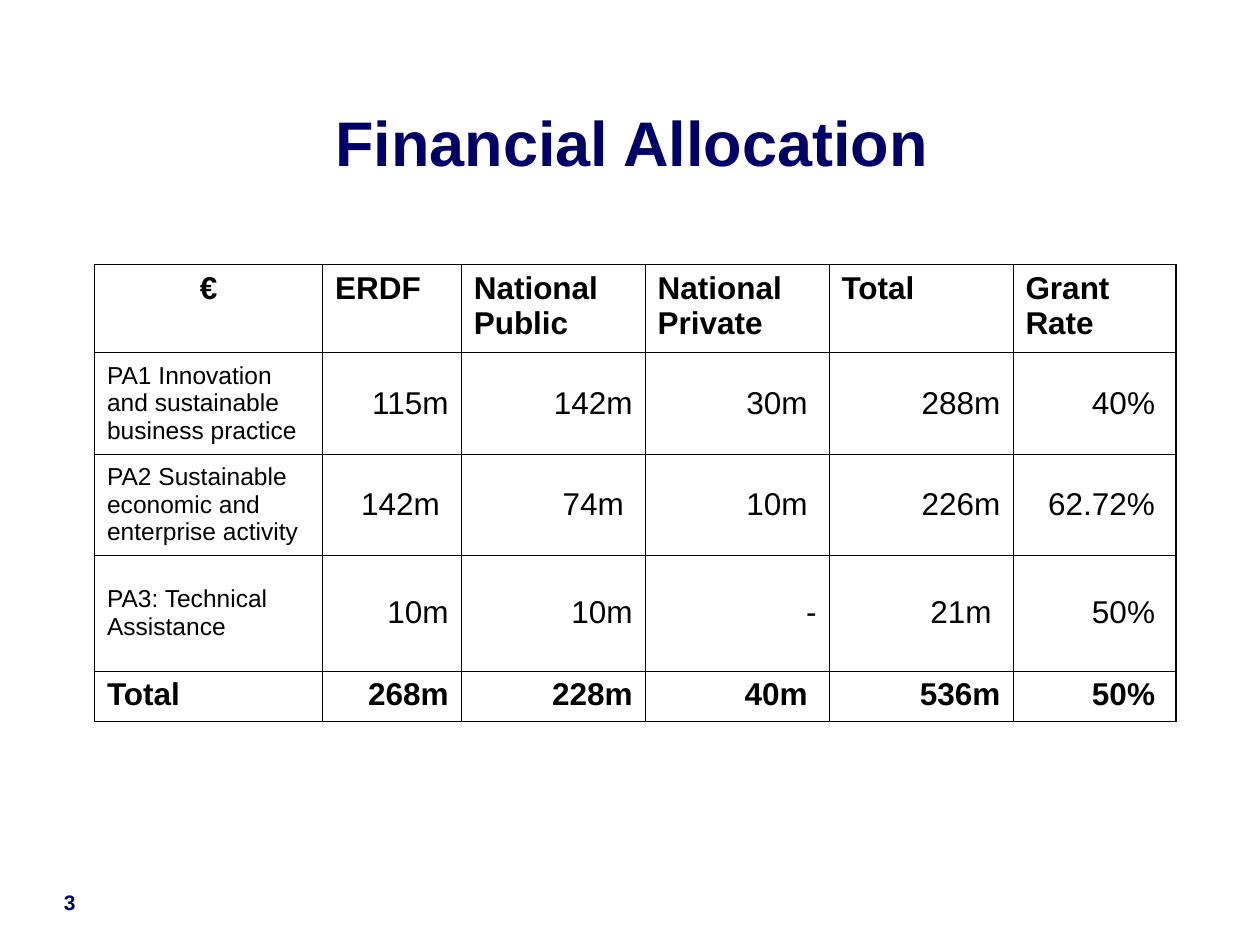
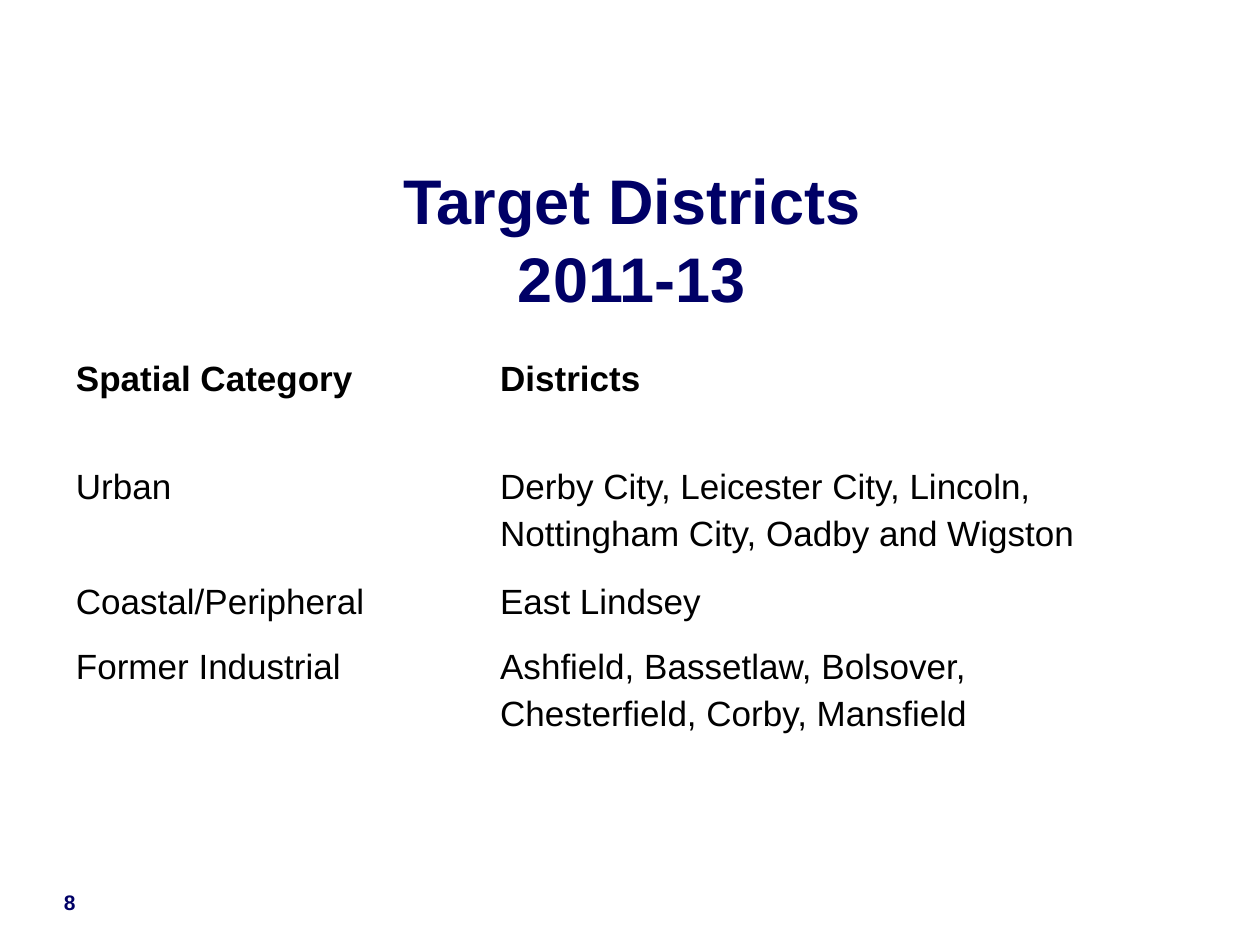
from pptx import Presentation
from pptx.dml.color import RGBColor as RGB
from pptx.enum.text import MSO_ANCHOR as ANCHOR, PP_ALIGN as ALIGN
from pptx.oxml import parse_xml
from pptx.oxml.ns import nsdecls
from pptx.util import Pt

COLORS = {"navy": "000066", "black": "000000"}
OUTER, INNER = 1.08, 0.45
TITLE = {"size": 36, "bold": True, "color": "navy"}
NUMBER = {"size": 12, "bold": True, "color": "navy"}
HEAD = {"size": 18, "bold": True}
LABEL = {"size": 14}
VALUE = {"size": 18}
DISTRICT = {"size": 20}
DISTRICT_HEAD = {"size": 20, "bold": True}


class Deck:
    def __init__(self):
        self.prs = Presentation()
        self.prs.slide_width, self.prs.slide_height = Pt(720), Pt(540)
        self.s = None

    def text(self, tf, text, fmt, align=ALIGN.LEFT, gap=0, leading=None):
        style = {"name": "Arial", "bold": False, "color": "black", **fmt}
        color = RGB.from_string(COLORS[style.pop("color")])
        style["size"] = Pt(style["size"])
        for i, line in enumerate(text.split("\n")):
            p = tf.add_paragraph() if i else tf.paragraphs[0]
            p.alignment = align
            p.space_before = Pt(gap if i else 0)
            if leading:
                p.line_spacing = leading
            p.text = line
            for r in p.runs:
                for key, value in style.items():
                    setattr(r.font, key, value)
                r.font.color.rgb = color

    def place(self, sp, left, top, width, height):
        box = {"left": left, "top": top, "width": width, "height": height}
        for key, value in box.items():
            setattr(sp, key, Pt(value))

    def slide(self, title, top, height, number):
        self.s = self.prs.slides.add_slide(self.prs.slide_layouts[5])
        sp = self.s.shapes.title
        self.place(sp, 36.7, top, 648.7, height)
        sp.text_frame.vertical_anchor = ANCHOR.MIDDLE
        self.text(sp.text_frame, title, TITLE, ALIGN.CENTER, leading=1.04)
        sp = self.s.shapes.add_textbox(Pt(23), Pt(504.7), Pt(33.8), Pt(21.6))
        sp.text_frame.word_wrap = True
        self.text(sp.text_frame, number, NUMBER, ALIGN.CENTER)

    def table(self, left, top, widths, heights):
        sizes = [Pt(v) for v in (left, top, sum(widths), sum(heights))]
        table = self.s.shapes.add_table(len(heights), len(widths), *sizes).table
        table.first_row = table.horz_banding = False
        for col, width in zip(table.columns, widths):
            col.width = Pt(width)
        for row, height in zip(table.rows, heights):
            row.height = Pt(height)
        return table

    def cell(self, cell, text, fmt, align=ALIGN.LEFT, anchor=ANCHOR.TOP,
             margins=(7.2, 3.6), gap=0, borders=None):
        side, top = margins
        cell.margin_left = cell.margin_right = Pt(side)
        cell.margin_top, cell.margin_bottom = Pt(top), Pt(3.6)
        cell.vertical_anchor = anchor
        self.text(cell.text_frame, text, fmt, align, gap)
        for edge, width in (borders or {}).items():
            cell._tc.get_or_add_tcPr().append(parse_xml(
                f'<a:ln{edge} {nsdecls("a")} w="{Pt(width)}"><a:solidFill>'
                f'<a:srgbClr val="{COLORS["black"]}"/></a:solidFill></a:ln{edge}>'))
        cell.fill.background()


def allocation(deck):
    deck.slide("Financial Allocation", 54.7, 50.4, "3")
    rows = [
        ["€", "ERDF", "National Public", "National Private", "Total", "Grant Rate"],
        ["PA1 Innovation and sustainable business practice",
         "115m", "142m", "30m ", "288m", "40% "],
        ["PA2 Sustainable economic and enterprise activity",
         "142m ", "74m ", "10m ", "226m", "62.72% "],
        ["PA3: Technical Assistance", "10m", "10m", "-", "21m ", "50% "],
        ["Total", "268m", "228m", "40m ", "536m", "50% "],
    ]
    table = deck.table(54, 151.2, [130.3, 79.3, 105.1, 105.1, 105.1, 93.4],
                       [50.4, 57.8, 57.8, 66.2, 28.8])
    last_row, last_col = len(rows) - 1, len(rows[0]) - 1
    for i, row in enumerate(rows):
        edge_row = i in (0, last_row)
        for j, text in enumerate(row):
            if i == 0:
                align = ALIGN.LEFT if j else ALIGN.CENTER
            else:
                align = ALIGN.RIGHT if j else ALIGN.LEFT
            fmt = HEAD if edge_row else VALUE if j else LABEL
            anchor = ANCHOR.TOP if edge_row else ANCHOR.MIDDLE
            outer = {"L": j == 0, "R": j == last_col,
                     "T": i == 0, "B": i == last_row}
            borders = {e: OUTER if out else INNER for e, out in outer.items()}
            deck.cell(table.cell(i, j), text, fmt, align, anchor, borders=borders)


def districts(deck):
    deck.slide("Target Districts\v2011-13", 88.6, 93.6, "8")
    rows = [
        ("Spatial Category", "Districts"),
        ("Urban", "Derby City, Leicester City, Lincoln,\n"
                  "Nottingham City, Oadby and Wigston"),
        ("Coastal/Peripheral", "East Lindsey"),
        ("Former Industrial", "Ashfield, Bassetlaw, Bolsover,\n"
                              "Chesterfield, Corby, Mansfield"),
    ]
    table = deck.table(41.8, 175, [242.4, 405.2], [83.5, 66.2, 36.7, 66.2])
    for i, row in enumerate(rows):
        fmt, top = (DISTRICT, 8.6) if i else (DISTRICT_HEAD, 30.6)
        for j, text in enumerate(row):
            deck.cell(table.cell(i, j), text, fmt, margins=(1.6, top), gap=5)


def main():
    deck = Deck()
    allocation(deck)
    districts(deck)
    deck.prs.save("out.pptx")


if __name__ == "__main__":
    main()
